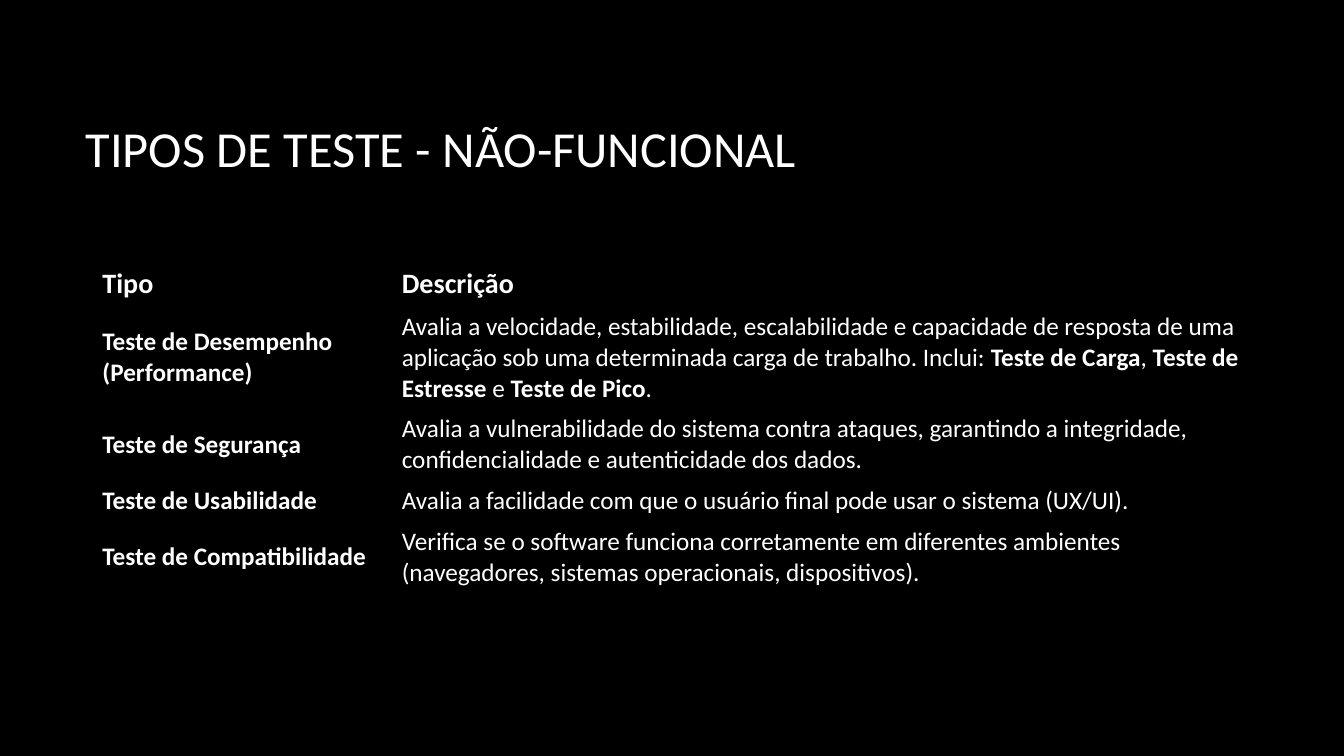
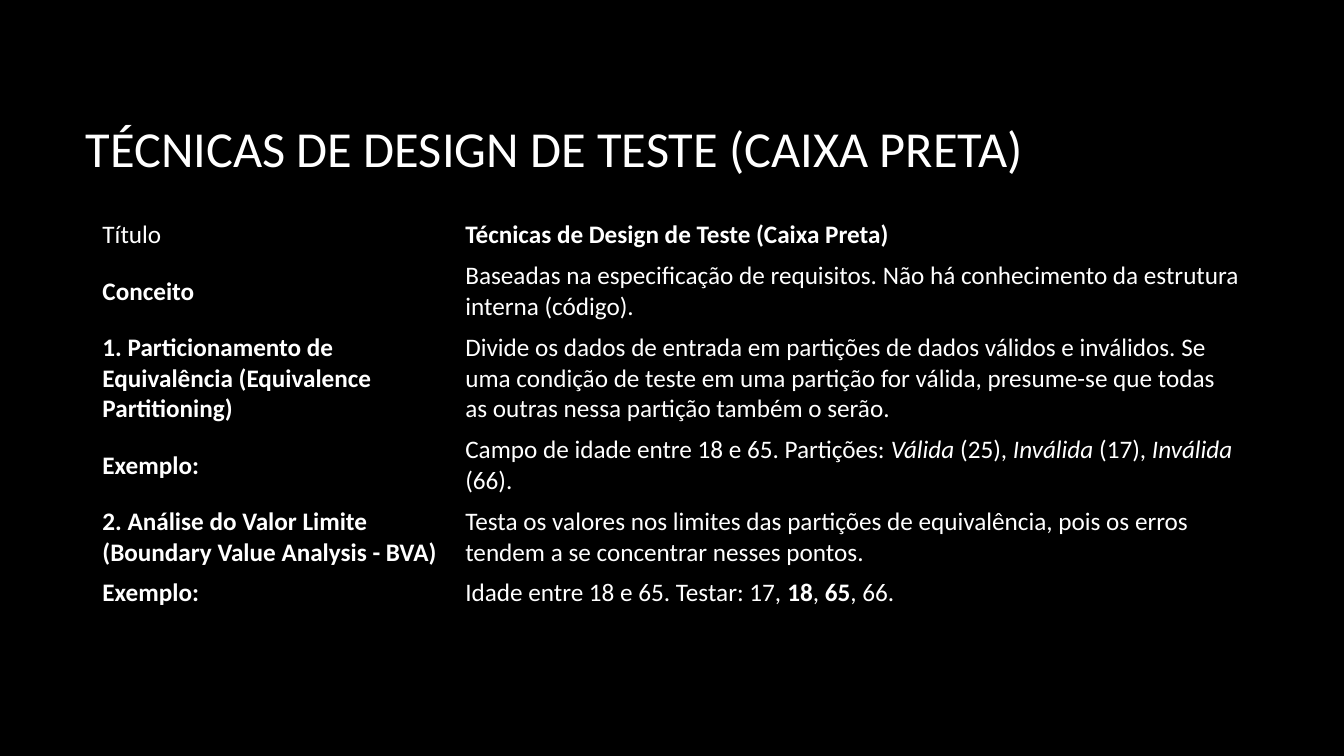
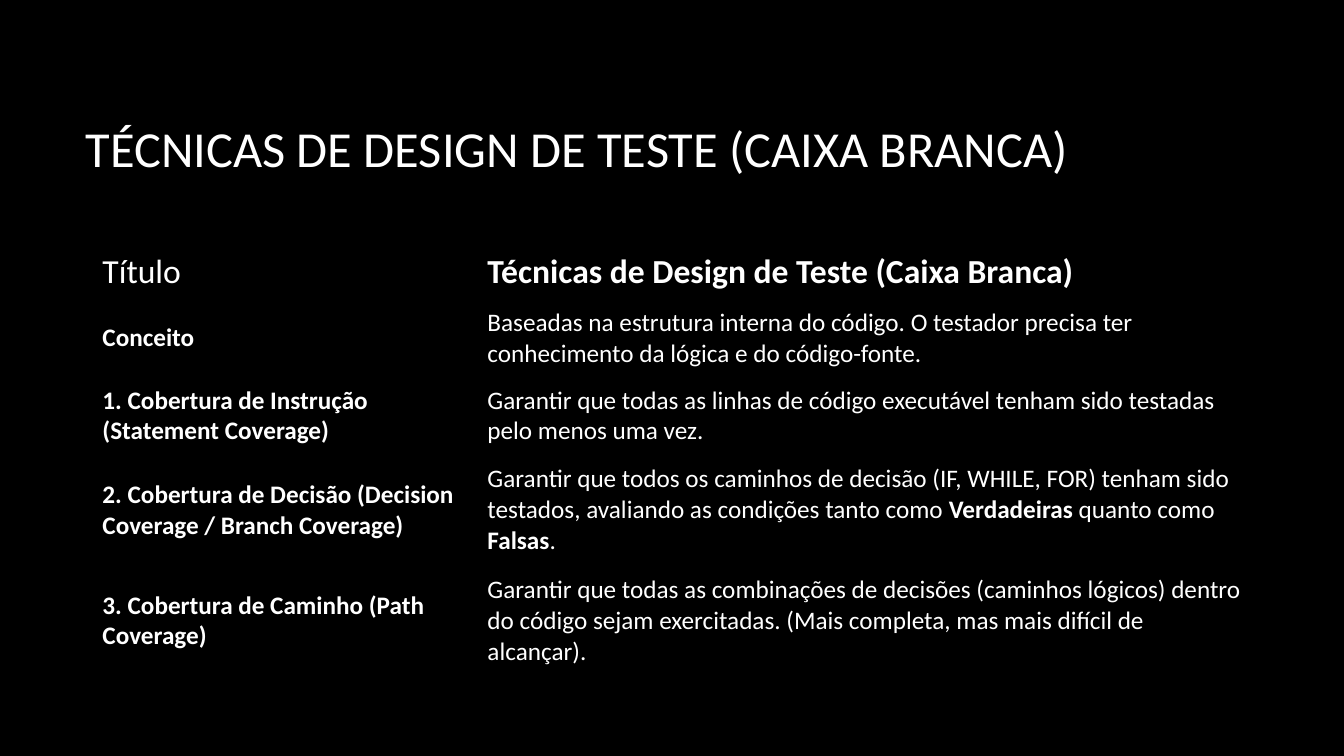
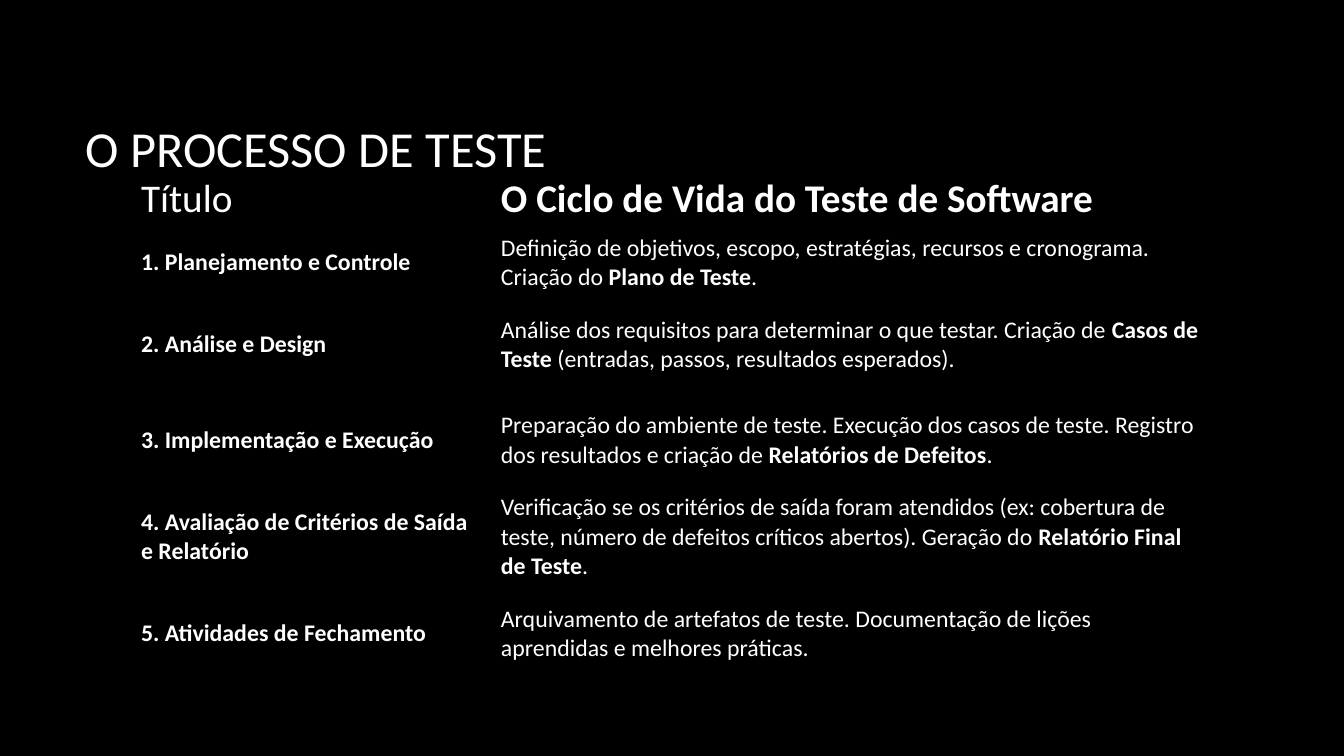
"""Builds four slides about software testing, each with a title and a two-column table."""
from dataclasses import dataclass

from lxml.etree import SubElement
from pptx import Presentation
from pptx.dml.color import RGBColor
from pptx.enum.text import MSO_ANCHOR, PP_ALIGN
from pptx.oxml.ns import qn
from pptx.presentation import Presentation as Deck
from pptx.slide import SlideLayout
from pptx.table import _Cell
from pptx.util import Emu, Inches, Pt

BLACK = RGBColor(0x00, 0x00, 0x00)
WHITE = RGBColor(0xFF, 0xFF, 0xFF)
FONT = "Calibri"
TITLE_SIZE = 36
GRID_COLS = 160
SLIDE_W, SLIDE_H = Inches(40 / 3), Inches(7.5)
UNIT = SLIDE_W / GRID_COLS
BOLD_MARK, ITALIC_MARK = "*", "_"


@dataclass(frozen=True)
class Row:
    """A table row with its height in grid units."""
    height: float
    label: str
    text: str


@dataclass(frozen=True)
class TableSlide:
    """A slide's title, and its table placed in grid units."""
    title: str
    left: float
    top: float
    cols: tuple[float, float]
    header_size: int
    body_size: int
    rows: list[Row]


SLIDES = [
    TableSlide("TIPOS DE TESTE - NÃO-FUNCIONAL", 11, 31.2, (35.64, 102.36), 20, 18, [
        Row(5.27, "*Tipo*", "*Descrição*"),
        Row(12.18, "*Teste de Desempenho (Performance)*",
            "Avalia a velocidade, estabilidade, escalabilidade e capacidade de resposta de uma "
            "aplicação sob uma determinada carga de trabalho. Inclui: *Teste de Carga*, "
            "*Teste de Estresse* e *Teste de Pico*."),
        Row(8.52, "*Teste de Segurança*",
            "Avalia a vulnerabilidade do sistema contra ataques, garantindo a integridade, "
            "confidencialidade e autenticidade dos dados."),
        Row(4.86, "*Teste de Usabilidade*",
            "Avalia a facilidade com que o usuário final pode usar o sistema (UX/UI)."),
        Row(8.52, "*Teste de Compatibilidade*",
            "Verifica se o software funciona corretamente em diferentes ambientes "
            "(navegadores, sistemas operacionais, dispositivos)."),
    ]),
    TableSlide("TÉCNICAS DE DESIGN DE TESTE (CAIXA PRETA)", 11, 25.56, (43.2, 94.8), 18, 18, [
        Row(4.86, "Título", "*Técnicas de Design de Teste (Caixa Preta)*"),
        Row(8.52, "*Conceito*",
            "Baseadas na especificação de requisitos. Não há conhecimento da estrutura "
            "interna (código)."),
        Row(12.18, "*1. Particionamento de Equivalência (Equivalence Partitioning)*",
            "Divide os dados de entrada em partições de dados válidos e inválidos. Se uma "
            "condição de teste em uma partição for válida, presume-se que todas as outras "
            "nessa partição também o serão."),
        Row(8.52, "*Exemplo:*",
            "Campo de idade entre 18 e 65. Partições: _Válida_ (25), _Inválida_ (17), "
            "_Inválida_ (66)."),
        Row(8.52, "*2. Análise do Valor Limite (Boundary Value Analysis - BVA)*",
            "Testa os valores nos limites das partições de equivalência, pois os erros tendem "
            "a se concentrar nesses pontos."),
        Row(4.86, "*Exemplo:*", "Idade entre 18 e 65. Testar: 17, *18*, *65*, 66."),
    ]),
    TableSlide("TÉCNICAS DE DESIGN DE TESTE (CAIXA BRANCA)", 11, 29.04, (45.84, 92.16), 24, 18, [
        Row(6.6, "Título", "*Técnicas de Design de Teste (Caixa Branca)*"),
        Row(9.24, "*Conceito*",
            "Baseadas na estrutura interna do código. O testador precisa ter conhecimento da "
            "lógica e do código-fonte."),
        Row(9.24, "*1. Cobertura de Instrução (Statement Coverage)*",
            "Garantir que todas as linhas de código executável tenham sido testadas pelo "
            "menos uma vez."),
        Row(13.2, "*2. Cobertura de Decisão (Decision Coverage / Branch Coverage)*",
            "Garantir que todos os caminhos de decisão (IF, WHILE, FOR) tenham sido testados, "
            "avaliando as condições tanto como *Verdadeiras* quanto como *Falsas*."),
        Row(13.2, "*3. Cobertura de Caminho (Path Coverage)*",
            "Garantir que todas as combinações de decisões (caminhos lógicos) dentro do código "
            "sejam exercitadas. (Mais completa, mas mais difícil de alcançar)."),
    ]),
    TableSlide("O PROCESSO DE TESTE", 15.6, 20.28, (42.84, 85.92), 28, 17, [
        Row(6.84, "Título", "*O Ciclo de Vida do Teste de Software*"),
        Row(8.04, "*1. Planejamento e Controle*",
            "Definição de objetivos, escopo, estratégias, recursos e cronograma. Criação do "
            "*Plano de Teste*."),
        Row(11.4, "*2. Análise e Design*",
            "Análise dos requisitos para determinar o que testar. Criação de *Casos de Teste* "
            "(entradas, passos, resultados esperados)."),
        Row(11.4, "*3. Implementação e Execução*",
            "Preparação do ambiente de teste. Execução dos casos de teste. Registro dos "
            "resultados e criação de *Relatórios de Defeitos*."),
        Row(11.52, "*4. Avaliação de Critérios de Saída e Relatório*",
            "Verificação se os critérios de saída foram atendidos (ex: cobertura de teste, "
            "número de defeitos críticos abertos). Geração do *Relatório Final de Teste*."),
        Row(11.4, "*5. Atividades de Fechamento*",
            "Arquivamento de artefatos de teste. Documentação de lições aprendidas e melhores "
            "práticas."),
    ]),
]


def grid(units: float) -> Emu:
    """Turns grid units into a length."""
    return Emu(round(units * UNIT))


def style_run(r, size: int, bold: bool = False, italic: bool = False) -> None:
    """Gives a run the deck's font and colour."""
    r.font.name, r.font.size = FONT, Pt(size)
    r.font.bold, r.font.italic = bold, italic
    r.font.color.rgb = WHITE


def setup_layout(prs: Deck) -> SlideLayout:
    """Sets the shared background and title position."""
    prs.slide_master.background.fill.solid()
    prs.slide_master.background.fill.fore_color.rgb = BLACK
    layout = prs.slide_layouts.get_by_name("Title Only")
    title = layout.placeholders[0]
    title.left, title.top = grid(9), grid(8)
    title.width, title.height = grid(133), grid(19)
    title.text_frame.vertical_anchor = MSO_ANCHOR.MIDDLE
    return layout


def fill_cell(cell: _Cell, text: str, size: int) -> None:
    """Writes marked text into a clear cell without borders."""
    cell.fill.background()
    cell.vertical_anchor = MSO_ANCHOR.MIDDLE
    tc_pr = cell._tc.get_or_add_tcPr()
    for i, side in enumerate(("a:lnL", "a:lnR", "a:lnT", "a:lnB")):
        ln = SubElement(tc_pr, qn(side))
        SubElement(ln, qn("a:noFill"))
        tc_pr.insert(i, ln)
    p = cell.text_frame.paragraphs[0]
    for i, chunk in enumerate(text.split(BOLD_MARK)):
        for j, piece in enumerate(chunk.split(ITALIC_MARK)):
            if piece:
                r = p.add_run()
                r.text = piece
                style_run(r, size, bold=i % 2 == 1, italic=j % 2 == 1)


def add_table_slide(prs: Deck, layout: SlideLayout, data: TableSlide) -> None:
    """Adds one slide with its title and table."""
    s = prs.slides.add_slide(layout)
    p = s.shapes.title.text_frame.paragraphs[0]
    p.text = data.title
    p.alignment = PP_ALIGN.LEFT
    style_run(p.runs[0], TITLE_SIZE)

    height = sum(row.height for row in data.rows)
    table = s.shapes.add_table(len(data.rows), len(data.cols), grid(data.left), grid(data.top),
                               grid(sum(data.cols)), grid(height)).table
    table.first_row = table.horz_banding = False
    for col, width in zip(table.columns, data.cols):
        col.width = grid(width)
    for i, row in enumerate(data.rows):
        table.rows[i].height = grid(row.height)
        size = data.body_size if i else data.header_size
        for j, text in enumerate((row.label, row.text)):
            fill_cell(table.cell(i, j), text, size)


def main() -> None:
    """Builds and saves the deck."""
    prs = Presentation()
    prs.slide_width, prs.slide_height = SLIDE_W, SLIDE_H
    layout = setup_layout(prs)
    for data in SLIDES:
        add_table_slide(prs, layout, data)
    prs.save("out.pptx")


if __name__ == "__main__":
    main()
